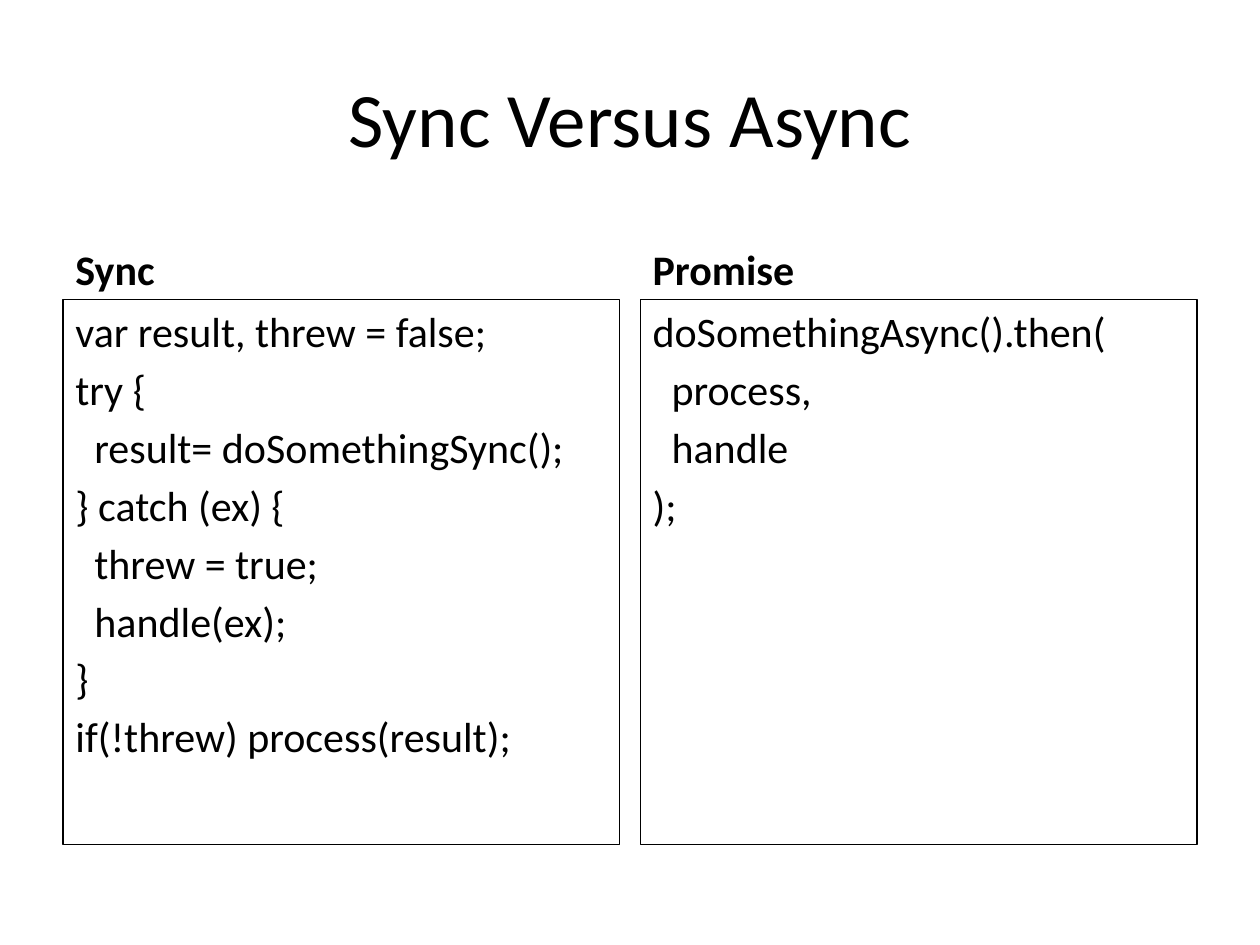
from pptx import Presentation
from pptx.dml.color import RGBColor
from pptx.enum.shapes import MSO_SHAPE
from pptx.enum.text import MSO_ANCHOR, PP_ALIGN
from pptx.util import Pt

BLACK = RGBColor(0, 0, 0)
WHITE = RGBColor(255, 255, 255)
MARGIN = 36
COLUMN_WIDTH = 318.2
COLUMN_STEP = 329.8
HEADING_TOP, HEADING_HEIGHT = 120.9, 50.4
CODE_TOP, CODE_HEIGHT = 171.3, 311.2
INDENT = 10.85

COLUMNS = [
    ("Sync", [
        (0, "var result, threw = false;"),
        (0, "try {"),
        (1, "result= doSomethingSync();"),
        (0, "} catch (ex) {"),
        (1, "threw = true;"),
        (1, "handle(ex);"),
        (0, "}"),
        (0, "if(!threw) process(result);"),
    ]),
    ("Promise", [
        (0, "doSomethingAsync().then("),
        (1, "process,"),
        (1, "handle"),
        (0, ");"),
    ]),
]


def write(paragraph, text, *, font="Calibri", size=24, color=BLACK, bold=False,
          align=PP_ALIGN.LEFT, before=0, depth=0):
    paragraph.alignment = align
    paragraph.space_before = Pt(before)
    if depth:
        paragraph._p.get_or_add_pPr().set("marL", str(Pt(depth * INDENT)))
    run = paragraph.add_run()
    run.text = text
    run.font.name = font
    run.font.size = Pt(size)
    run.font.bold = bold
    run.font.color.rgb = color


class SlideBuilder:
    def __init__(self, slide, font="Calibri", color=BLACK):
        self.slide = slide
        self.font = font
        self.color = color
        slide.background.fill.solid()
        slide.background.fill.fore_color.rgb = WHITE

    def label(self, text, left, top, width, height, anchor, **style):
        label = self.slide.shapes.add_textbox(Pt(left), Pt(top), Pt(width), Pt(height))
        frame = label.text_frame
        frame.word_wrap = True
        frame.vertical_anchor = anchor
        write(frame.paragraphs[0], text, font=self.font, color=self.color, **style)

    def code_panel(self, lines, left, top, width, height):
        panel = self.slide.shapes.add_shape(
            MSO_SHAPE.RECTANGLE, Pt(left), Pt(top), Pt(width), Pt(height))
        panel.shadow.inherit = False
        panel.fill.background()
        panel.line.color.rgb = self.color
        panel.line.width = Pt(0.75)
        frame = panel.text_frame
        frame.word_wrap = True
        frame.vertical_anchor = MSO_ANCHOR.TOP
        for index, (depth, text) in enumerate(lines):
            paragraph = frame.add_paragraph() if index else frame.paragraphs[0]
            write(paragraph, text, font=self.font, color=self.color,
                  before=4.25 if index else 0, depth=depth)


def main():
    presentation = Presentation()
    presentation.slide_width = Pt(720)
    presentation.slide_height = Pt(540)
    builder = SlideBuilder(presentation.slides.add_slide(presentation.slide_layouts[6]))
    builder.label("Sync Versus Async", MARGIN, 21.6, 648, 90, MSO_ANCHOR.MIDDLE,
                  size=44, align=PP_ALIGN.CENTER)
    for index, (heading, code) in enumerate(COLUMNS):
        left = MARGIN + index * COLUMN_STEP
        builder.label(heading, left, HEADING_TOP, COLUMN_WIDTH, HEADING_HEIGHT,
                      MSO_ANCHOR.BOTTOM, bold=True)
        builder.code_panel(code, left, CODE_TOP, COLUMN_WIDTH, CODE_HEIGHT)
    presentation.save("out.pptx")


if __name__ == "__main__":
    main()
